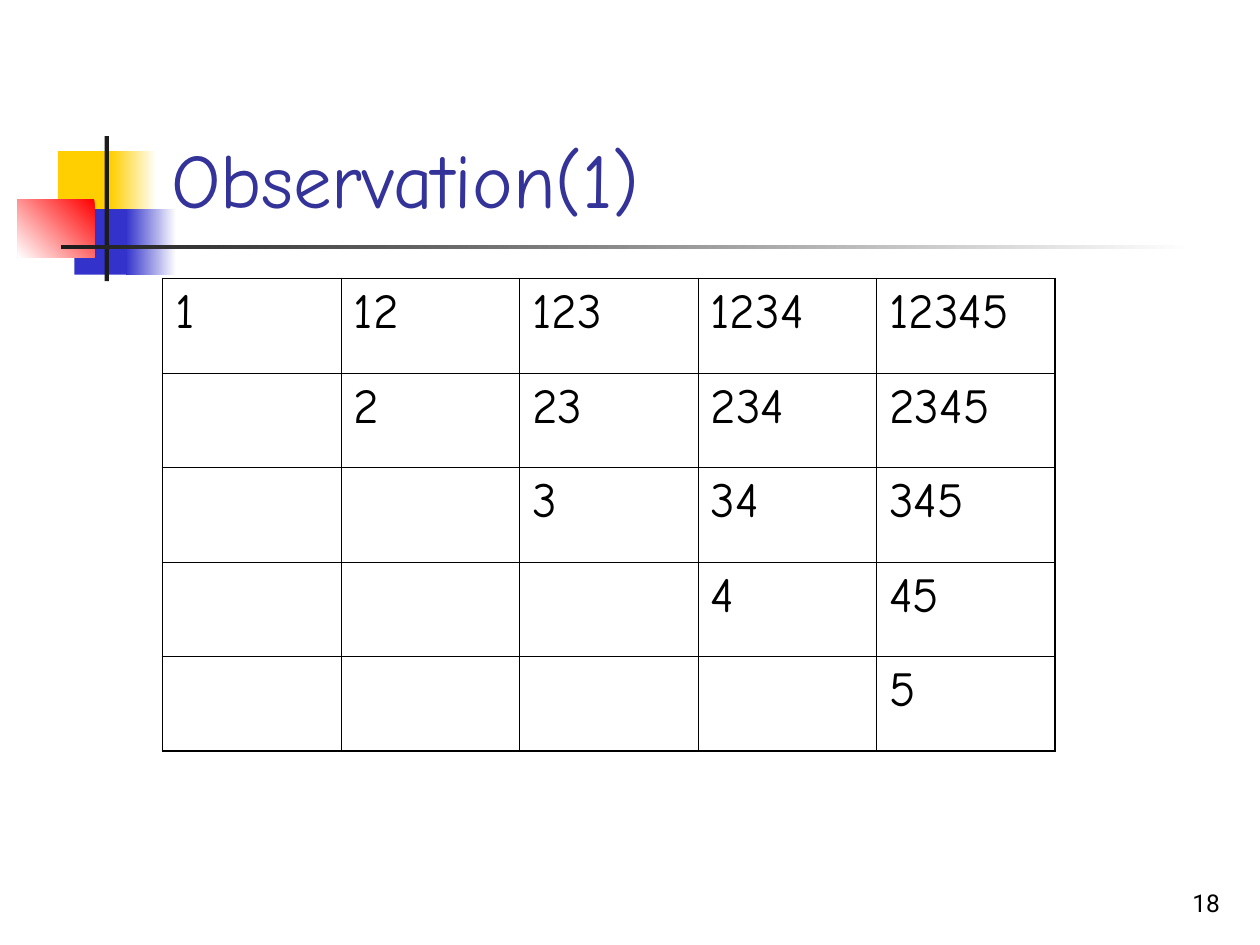
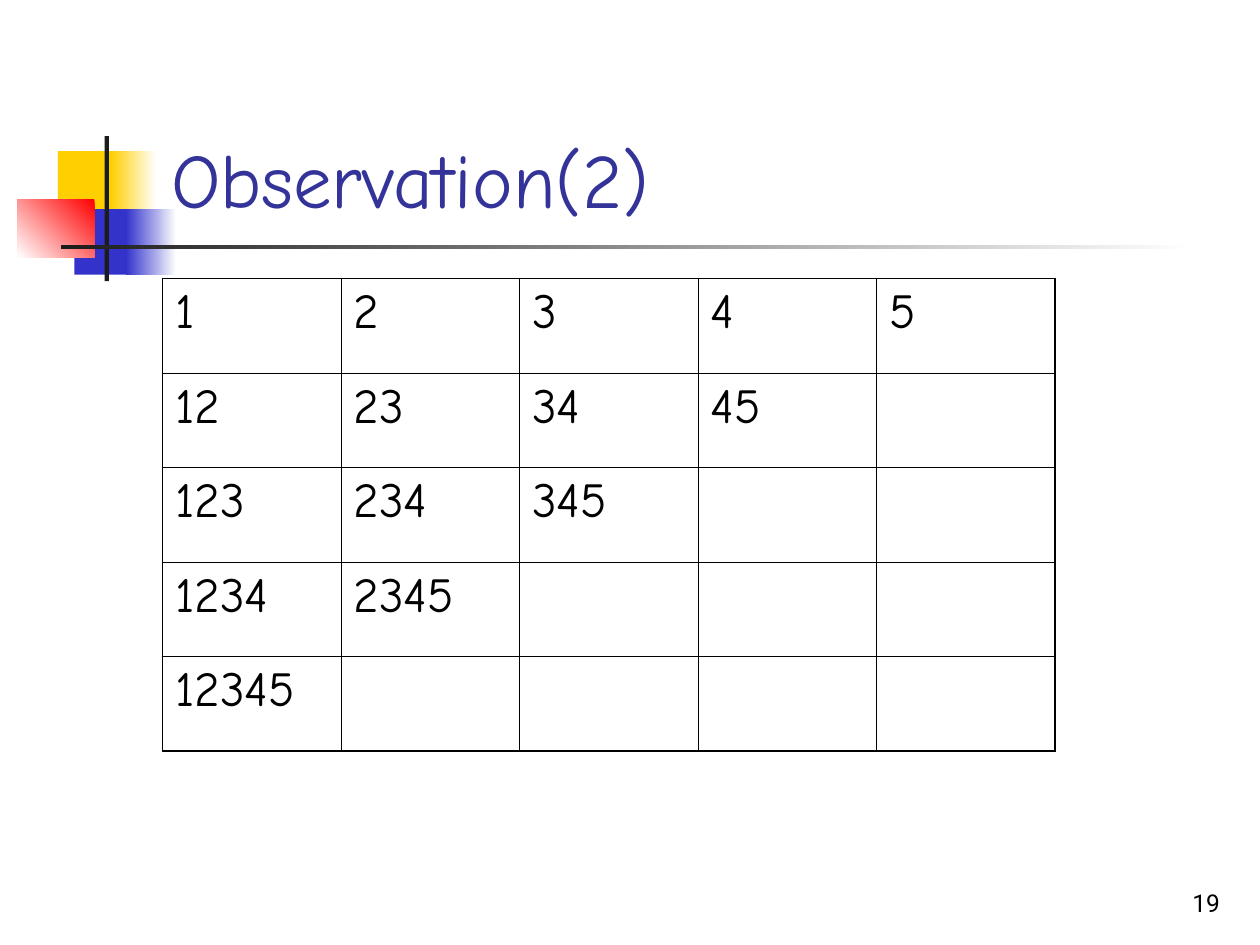
from dataclasses import dataclass
from typing import Callable, NamedTuple, Optional

from lxml.etree import SubElement
from pptx import Presentation
from pptx.dml.color import RGBColor
from pptx.enum.shapes import MSO_SHAPE
from pptx.enum.text import MSO_ANCHOR, MSO_AUTO_SIZE, PP_ALIGN
from pptx.oxml.ns import qn
from pptx.slide import Slide, SlideLayout
from pptx.table import _Cell
from pptx.text.text import TextFrame
from pptx.util import Pt


class TextStyle(NamedTuple):
    font: str
    size: float
    color: str


@dataclass(frozen=True)
class Theme:
    white: str = "FFFFFF"
    yellow: str = "FFCF01"
    blue: str = "3333CC"
    red: str = "FF0000"
    charcoal: str = "1C1C1C"
    black: str = "000000"
    title: TextStyle = TextStyle("Comic Neue", 44, "333399")
    cell: TextStyle = TextStyle("Comic Neue", 28, "000000")
    page_number: TextStyle = TextStyle("Roboto", 14, "000000")
    outer_border: float = 1.08
    inner_border: float = 0.45


class Box(NamedTuple):
    left: float
    top: float
    width: float
    height: float

    def lengths(self) -> tuple[Pt, ...]:
        return tuple(Pt(value) for value in self)


class Band(NamedTuple):
    box: Box
    start: str
    end: Optional[str] = None
    angle: float = 180


class Observation(NamedTuple):
    title: str
    page: int
    substring: Callable[[int, int], str]


THEME = Theme()
DIGITS = "12345"
COUNT = len(DIGITS)
TITLE_BOX = Box(90.7, 16.6, 613.4, 115.2)
GRID_BOX = Box(92.9, 159.1, 510, 270)
PAGE_BOX = Box(554.4, 491.8, 149.8, 36)

BANDS = (
    Band(Box(33.1, 86.4, 34.6, 37.4), THEME.yellow),
    Band(Box(63.4, 86.4, 25.9, 37.4), THEME.white, THEME.yellow),
    Band(Box(42.5, 119.5, 33.1, 37.4), THEME.blue),
    Band(Box(72, 119.5, 28.8, 37.4), THEME.white, THEME.blue),
    Band(Box(10.1, 113.8, 43.9, 33.1), THEME.red, THEME.white, 225),
    Band(Box(59.8, 77.8, 2.4, 82.8), THEME.charcoal),
    Band(Box(34.6, 140.1, 648, 2.4), THEME.white, THEME.charcoal),
)


def by_first_and_last(row: int, column: int) -> str:
    return DIGITS[row:column + 1]


def by_length_and_first(row: int, column: int) -> str:
    end = column + row + 1
    return DIGITS[column:end] if end <= COUNT else ""


OBSERVATIONS = (
    Observation("Observation(1)", 18, by_first_and_last),
    Observation("Observation(2)", 19, by_length_and_first),
)


def write(frame: TextFrame, text: str, style: TextStyle,
          align: PP_ALIGN = PP_ALIGN.LEFT) -> None:
    frame.text = text
    paragraph = frame.paragraphs[0]
    paragraph.alignment = align
    for run in paragraph.runs:
        run.font.name = style.font
        run.font.size = Pt(style.size)
        run.font.color.rgb = RGBColor.from_string(style.color)


def draw_band(slide: Slide, layout: SlideLayout, band: Band, depth: int) -> None:
    shape = slide.shapes.add_shape(MSO_SHAPE.RECTANGLE, *band.box.lengths())
    shape.shadow.inherit = False
    shape.line.fill.background()
    if band.end is None:
        shape.fill.solid()
        shape.fill.fore_color.rgb = RGBColor.from_string(band.start)
    else:
        shape.fill.gradient()
        shape.fill.gradient_angle = band.angle
        for stop, color in zip(shape.fill.gradient_stops, (band.start, band.end)):
            stop.color.rgb = RGBColor.from_string(color)
    layout_tree = layout.placeholders[0].element.getparent()
    layout_tree.insert(2 + depth, shape.element)


def draw_borders(cell: _Cell, row: int, column: int) -> None:
    properties = cell._tc.get_or_add_tcPr()
    last = COUNT - 1
    sides = (("L", column == 0), ("R", column == last),
             ("T", row == 0), ("B", row == last))
    for side, is_outer in sides:
        width = THEME.outer_border if is_outer else THEME.inner_border
        line = SubElement(properties, qn(f"a:ln{side}"), w=str(Pt(width)))
        fill = SubElement(line, qn("a:solidFill"))
        SubElement(fill, qn("a:srgbClr"), val=THEME.black)


def draw_title(slide: Slide, text: str) -> None:
    title = slide.shapes.title
    title.left, title.top, title.width, title.height = TITLE_BOX.lengths()
    frame = title.text_frame
    frame.auto_size = MSO_AUTO_SIZE.NONE
    frame.vertical_anchor = MSO_ANCHOR.BOTTOM
    write(frame, text, THEME.title)


def draw_grid(slide: Slide, substring: Callable[[int, int], str]) -> None:
    grid = slide.shapes.add_table(COUNT, COUNT, *GRID_BOX.lengths()).table
    grid.first_row = False
    grid.horz_banding = False
    for row in range(COUNT):
        for column in range(COUNT):
            cell = grid.cell(row, column)
            write(cell.text_frame, substring(row, column), THEME.cell)
            draw_borders(cell, row, column)
            cell.fill.background()


def draw_page_number(slide: Slide, page: int) -> None:
    frame = slide.shapes.add_textbox(*PAGE_BOX.lengths()).text_frame
    frame.word_wrap = True
    frame.vertical_anchor = MSO_ANCHOR.BOTTOM
    write(frame, str(page), THEME.page_number, PP_ALIGN.RIGHT)


def main() -> None:
    presentation = Presentation()
    presentation.slide_width = Pt(720)
    presentation.slide_height = Pt(540)
    layout = presentation.slide_layouts[5]
    for observation in OBSERVATIONS:
        slide = presentation.slides.add_slide(layout)
        draw_title(slide, observation.title)
        draw_grid(slide, observation.substring)
        draw_page_number(slide, observation.page)
    for depth, band in enumerate(BANDS):
        draw_band(presentation.slides[0], layout, band, depth)
    presentation.save("out.pptx")


if __name__ == "__main__":
    main()
